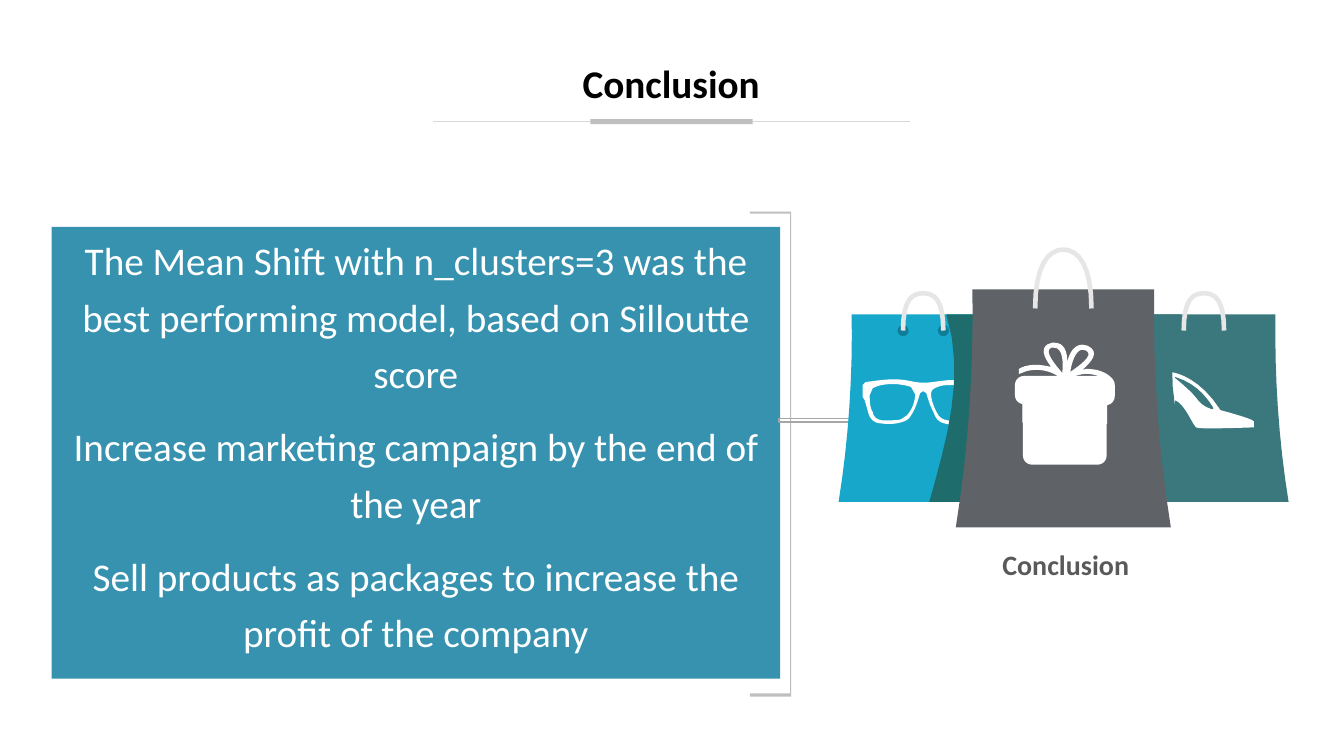
from lxml.etree import SubElement
from pptx import Presentation
from pptx.dml.color import RGBColor
from pptx.enum.shapes import MSO_CONNECTOR as Connector, MSO_SHAPE as Shape
from pptx.enum.text import MSO_ANCHOR as Anchor, PP_ALIGN as Align
from pptx.oxml.ns import qn
from pptx.util import Cm, Pt

BLACK = RGBColor(0x00, 0x00, 0x00)
WHITE = RGBColor(0xFF, 0xFF, 0xFF)
PALE_GREY = RGBColor(0xD9, 0xD9, 0xD9)
GREY = RGBColor(0xBF, 0xBF, 0xBF)
LINK_GREY = RGBColor(0xA6, 0xA6, 0xA6)
CAPTION_GREY = RGBColor(0x59, 0x59, 0x59)
PANEL_BLUE = RGBColor(0x37, 0x92, 0xAF)
BAG_BLUE = RGBColor(0x16, 0xA7, 0xCB)
EYELET_BLUE = RGBColor(0x10, 0x7D, 0x98)
GUSSET_GREEN = RGBColor(0x1E, 0x6C, 0x6B)
BAG_GREEN = RGBColor(0x3A, 0x78, 0x7E)
BAG_GREY = RGBColor(0x5F, 0x63, 0x68)
HANDLE_GREY = RGBColor(0xE7, 0xE6, 0xE6)

UNIT = Cm(0.0254)
CURVE_STEPS = 8
FINDINGS = [
    "The Mean Shift with n_clusters=3 was the best performing model, based on Silloutte score",
    "Increase marketing campaign by the end of the year",
    "Sell products as packages to increase the profit of the company",
]

BRACKET = "M 785 210 L 785 691 L 744 691 L 744 688 L 784 688 L 784 212 L 744 212 L 744 210 Z"
BAG_BODY = "M 71 0 C 70 62 74 124 84 186 L -84 186 C -74 124 -70 62 -71 0 Z"
LEFT_GUSSET = "M 71 0 C 70 62 74 124 84 186 L 6 186 C 23 125 42 62 23 0 Z"
RIGHT_GUSSET = "M -23 0 C -44 64 -22 125 -6 186 L -84 186 C -74 124 -70 62 -71 0 Z"
SIDE_HANDLE = "M 20 16 C 20 -15 11 -21 0 -21 C -11 -21 -20 -15 -20 16"
FRONT_HANDLE = "M 22 15 C 22 -18 12 -31 0 -31 C -12 -31 -22 -18 -22 15"
GLASSES_FRAME = """M 947 377 C 940 377 933 378 926 379 C 919 380 911 380 903 378
C 894 376 884 376 875 377 L 859 379 L 856 382 L 856 394 L 858 397 L 862 411 C 864 417 869 420 874 420
C 881 421 887 421 894 419 C 898 418 902 416 904 412 C 908 406 910 400 912 393 L 913 390 L 916 388
L 919 390 L 923 402 L 928 413 C 930 417 933 419 937 420 C 944 422 952 422 959 421
C 964 420 968 418 969 413 L 974 398 L 976 394 L 976 383 L 974 381 L 956 378 Z"""
LENSES = """M 945 382 L 953 382 L 965 385 L 968 389 C 970 397 969 405 965 413 L 959 417
C 953 418 946 418 940 417 C 935 416 932 414 930 410 C 927 405 925 399 924 394
C 923 388 925 386 930 384 C 935 382 940 382 945 382 Z M 881 417 L 875 417 C 870 416 867 414 866 409
C 863 404 863 398 863 392 L 866 385 L 871 383 C 877 381 884 381 890 381 C 895 382 899 382 904 384
L 908 391 C 908 399 905 406 900 412 L 894 416 C 890 417 886 417 881 417 Z"""
SHOE = """M 1161 369 C 1169 370 1191 376 1211 407 C 1211 407 1242 415 1244 418 L 1244 424
C 1244 424 1220 425 1203 425 C 1195 425 1188 425 1187 424 C 1184 423 1176 401 1166 397
L 1161 425 L 1156 425 C 1156 425 1158 407 1155 399 C 1152 392 1152 380 1157 371 Z"""
SHOE_OPENING = """M 1166 374 C 1190 381 1201 400 1204 405 L 1203 406
C 1200 405 1193 403 1188 396 C 1183 389 1171 379 1166 375 Z"""
BOW = """M 1074 347 C 1067 347 1063 361 1062 369 C 1069 364 1086 353 1078 348 Z
M 1046 345 L 1043 345 C 1035 348 1048 363 1054 370 C 1055 361 1055 345 1046 345 Z
M 1046 340 C 1056 340 1059 349 1059 359 C 1061 350 1066 342 1074 342 L 1079 343
C 1092 349 1083 359 1074 367 L 1078 366 C 1088 366 1098 369 1104 376 L 1102 380 L 1101 380
C 1095 374 1086 371 1078 371 C 1072 371 1067 373 1062 375 L 1056 377 L 1052 375
C 1046 370 1037 367 1029 367 C 1023 367 1018 368 1014 370 L 1011 371 L 1011 366
C 1016 363 1022 362 1028 362 C 1033 362 1038 363 1043 364 C 1036 355 1030 343 1044 340 Z"""
BOX_TOP = """M 1024 377 L 1089 378 C 1094 378 1098 382 1098 387 L 1098 420 C 1086 416 1072 415 1059 415
C 1044 415 1029 417 1015 419 L 1015 386 C 1015 381 1019 377 1024 377 Z"""
BOX_BASE = """M 1059 415 C 1072 415 1086 416 1098 420 L 1098 452 C 1098 457 1094 461 1089 461
L 1024 461 C 1019 461 1015 457 1015 452 L 1015 419 C 1029 417 1044 415 1059 415 Z"""
BOX_LID = """M 1016 373 L 1097 373 C 1102 373 1106 377 1106 382 L 1106 393 C 1106 398 1102 402 1097 402
L 1016 401 C 1011 401 1007 397 1007 392 L 1007 382 C 1007 377 1011 373 1016 373 Z"""

def paint(fill, color):
    if color is None:
        fill.background()
    else:
        fill.solid()
        fill.fore_color.rgb = color

def style(shape, fill=None, line=None, width=1):
    shape.shadow.inherit = False
    shape.line.width = Pt(width)
    paint(shape.fill, fill)
    paint(shape.line.fill, line)

def add_preset(slide, kind, box, **look):
    shape = slide.shapes.add_shape(kind, *box)
    style(shape, **look)
    return shape

def curve_points(*anchors):
    for step in range(1, CURVE_STEPS + 1):
        t = step / CURVE_STEPS
        u = 1 - t
        yield tuple(u**3 * a + 3 * u * u * t * b + 3 * u * t * t * c + t**3 * d
                    for a, b, c, d in zip(*anchors))

def read_contours(outline, origin, scale):
    contours = []
    words = iter(outline.split())

    def next_point():
        return tuple((base + scale * float(next(words))) * UNIT for base in origin)

    for command in words:
        if command == "M":
            contours.append([next_point()])
        elif command == "L":
            contours[-1].append(next_point())
        elif command == "C":
            start = contours[-1][-1]
            contours[-1].extend(curve_points(start, next_point(), next_point(), next_point()))
    return contours

def add_outline(slide, outline, origin=(0, 0), scale=1, **look):
    first, *others = read_contours(outline, origin, scale)
    closed = outline.endswith("Z")
    builder = slide.shapes.build_freeform(*first[0])
    builder.add_line_segments(first[1:], close=closed)
    for contour in others:
        builder.move_to(*contour[0])
        builder.add_line_segments(contour[1:], close=closed)
    style(builder.convert_to_shape(), **look)

def add_bag(slide, origin, fill, handle, icons, scale=1, gusset=None, gusset_fill=None,
            eyelet_fill=None, eyelet_size=11):
    add_outline(slide, BAG_BODY, origin, scale, fill=fill)
    for outline, look in icons:
        add_outline(slide, outline, **look)
    if gusset:
        add_outline(slide, gusset, origin, scale, fill=gusset_fill or fill)
    foot_x, foot_y = (scale * float(word) for word in handle.split()[1:3])
    for side in (1, -1):
        left = origin[0] + side * foot_x - eyelet_size / 2
        top = origin[1] + foot_y - eyelet_size / 2
        box = [int(length * UNIT) for length in (left, top, eyelet_size, eyelet_size)]
        add_preset(slide, Shape.OVAL, box, fill=eyelet_fill or fill)
    add_outline(slide, handle, origin, scale, line=HANDLE_GREY, width=3.28)

def add_rule(slide, left, right, y):
    rule = slide.shapes.add_connector(Connector.STRAIGHT, left, y, right, y)
    rule.line.color.rgb = PALE_GREY
    rule.line.width = Pt(0.5)
    SubElement(rule._element.spPr, qn("a:effectLst"))

def write_text(frame, paragraphs, size, color, bold=False, anchor=Anchor.TOP,
               inset=None, line_spacing=None, space_before=None):
    frame.word_wrap = True
    frame.vertical_anchor = anchor
    if inset is not None:
        frame.margin_left = frame.margin_top = frame.margin_right = frame.margin_bottom = inset
    for number, wording in enumerate(paragraphs):
        paragraph = frame.add_paragraph() if number else frame.paragraphs[0]
        paragraph.alignment = Align.CENTER
        paragraph.line_spacing = line_spacing
        paragraph.space_before = space_before
        run = paragraph.add_run()
        run.text = wording
        run.font.name, run.font.size, run.font.bold = "Calibri", Pt(size), bold
        run.font.color.rgb = color

def main():
    deck = Presentation()
    deck.slide_width, deck.slide_height = Cm(33.87), Cm(19.05)
    slide = deck.slides.add_slide(deck.slide_layouts[6])
    title = slide.shapes.add_textbox(Cm(0.89), Cm(1.37), Cm(32.05), Cm(1.45))
    write_text(title.text_frame, ["Conclusion"], 28, BLACK, bold=True)
    add_rule(slide, Cm(10.92), Cm(22.94), Cm(3.06))
    add_preset(slide, Shape.RECTANGLE, (Cm(14.88), Cm(3), Cm(4.09), Cm(0.13)), fill=GREY)
    panel_box = (Cm(1.3), Cm(5.72), Cm(18.36), Cm(11.38))
    panel = add_preset(slide, Shape.RECTANGLE, panel_box, fill=PANEL_BLUE)
    write_text(panel.text_frame, FINDINGS, 28, WHITE, inset=Cm(0), line_spacing=1.2, space_before=Pt(12))
    add_outline(slide, BRACKET, fill=GREY)
    add_preset(slide, Shape.RECTANGLE, (Cm(19.63), Cm(10.54), Cm(2.16), Cm(0.1)), line=LINK_GREY)

    white = {"fill": WHITE}
    glasses = " ".join([GLASSES_FRAME, LENSES])
    add_bag(slide, (916, 312), BAG_BLUE, SIDE_HANDLE, [(glasses, white)],
            gusset=LEFT_GUSSET, gusset_fill=GUSSET_GREEN, eyelet_fill=EYELET_BLUE)
    shoe = [(SHOE, white), (SHOE_OPENING, {"fill": BAG_GREEN})]
    add_bag(slide, (1194.5, 312), BAG_GREEN, SIDE_HANDLE, shoe, gusset=RIGHT_GUSSET)
    gift = [(BOW, white), (BOX_TOP, {"fill": WHITE, "line": WHITE, "width": 0.75}),
            (BOX_BASE, white), (BOX_LID, white)]
    add_bag(slide, (1055, 287), BAG_GREY, FRONT_HANDLE, gift, scale=1.27, eyelet_size=19)

    caption = slide.shapes.add_textbox(Cm(21.13), Cm(13.31), Cm(11.46), Cm(1.8))
    write_text(caption.text_frame, ["Conclusion"], 20, CAPTION_GREY, bold=True,
               anchor=Anchor.MIDDLE, inset=Cm(0.25))
    deck.save("out.pptx")

if __name__ == "__main__":
    main()
